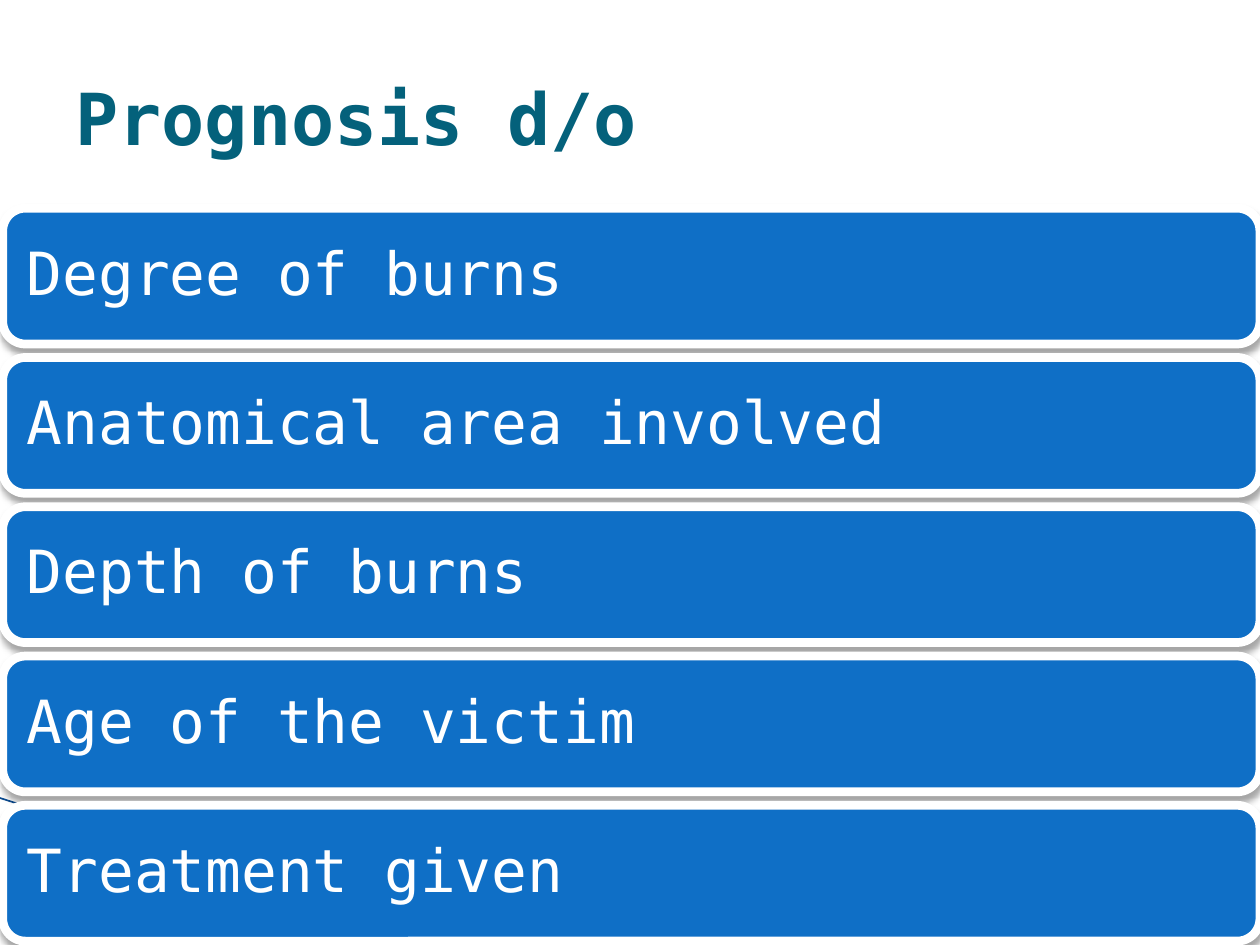
from dataclasses import dataclass

from lxml.etree import SubElement
from pptx import Presentation
from pptx.dml.color import RGBColor
from pptx.enum.shapes import MSO_CONNECTOR as Connector, MSO_SHAPE as Shape
from pptx.enum.text import MSO_ANCHOR as Anchor, PP_ALIGN as Align
from pptx.oxml.ns import qn
from pptx.slide import Slide
from pptx.text.text import TextFrame
from pptx.util import Pt


@dataclass(frozen=True)
class Theme:
    font: str = "DejaVu Sans Mono"
    title_color: str = "04617B"
    bar_color: str = "0F6FC6"
    light: str = "FFFFFF"
    accent_line: str = "0B4A8F"
    shadow: str = "000000"
    title_size: float = 41
    bar_size: float = 34


@dataclass(frozen=True)
class Bar:
    label: str
    top: float


THEME = Theme()
BAR_LEFT, BAR_TOP = 1.6, 119
BAR_WIDTH, BAR_HEIGHT, BAR_PITCH = 718.4, 77.6, 85.3
FACTORS = ["Degree of burns", "Anatomical area involved", "Depth of burns",
           "Age of the victim", "Treatment given"]


def write_text(frame: TextFrame, text: str, size: float, color: str,
               bold: bool = False) -> None:
    frame.word_wrap = True
    frame.vertical_anchor = Anchor.MIDDLE
    frame.text = text
    paragraph = frame.paragraphs[0]
    paragraph.alignment = Align.LEFT
    font = paragraph.runs[0].font
    font.name, font.size, font.bold = THEME.font, Pt(size), bold
    font.color.rgb = RGBColor.from_string(color)


def add_accent_line(slide: Slide) -> None:
    line = slide.shapes.add_connector(Connector.STRAIGHT, Pt(-0.7), Pt(455.8),
                                      Pt(267.1), Pt(541.4))
    line.line.color.rgb = RGBColor.from_string(THEME.accent_line)
    line.line.width = Pt(0.95)
    SubElement(line._element.spPr, qn("a:effectLst"))


def add_bar(slide: Slide, bar: Bar) -> None:
    shape = slide.shapes.add_shape(Shape.ROUNDED_RECTANGLE, Pt(BAR_LEFT), Pt(bar.top),
                                   Pt(BAR_WIDTH), Pt(BAR_HEIGHT))
    shape.fill.solid()
    shape.fill.fore_color.rgb = RGBColor.from_string(THEME.bar_color)
    shape.line.color.rgb = RGBColor.from_string(THEME.light)
    shape.line.width = Pt(5)

    # Soft shadow straight below the bar
    shape.shadow.inherit = False
    effects = shape._element.spPr.find(qn("a:effectLst"))
    shadow = SubElement(effects, qn("a:outerShdw"), blurRad=str(Pt(4)),
                        dist=str(Pt(3)), dir="5400000", rotWithShape="0")
    color = SubElement(shadow, qn("a:srgbClr"), val=THEME.shadow)
    SubElement(color, qn("a:alpha"), val="35000")

    frame = shape.text_frame
    frame.margin_left = frame.margin_right = Pt(10)
    frame.margin_top = frame.margin_bottom = Pt(10)
    write_text(frame, bar.label, THEME.bar_size, THEME.light)
    frame.paragraphs[0].line_spacing = 0.9


def main() -> None:
    presentation = Presentation()
    presentation.slide_width, presentation.slide_height = Pt(720), Pt(540)
    slide = presentation.slides.add_slide(presentation.slide_layouts[6])

    # Corner line behind the bars
    add_accent_line(slide)

    # One bar per prognostic factor
    for index, label in enumerate(FACTORS):
        add_bar(slide, Bar(label, BAR_TOP + index * BAR_PITCH))

    # Title
    title = slide.shapes.add_textbox(Pt(36), Pt(21.6), Pt(648), Pt(90))
    write_text(title.text_frame, "Prognosis d/o", THEME.title_size,
               THEME.title_color, bold=True)

    presentation.save("out.pptx")


if __name__ == "__main__":
    main()
